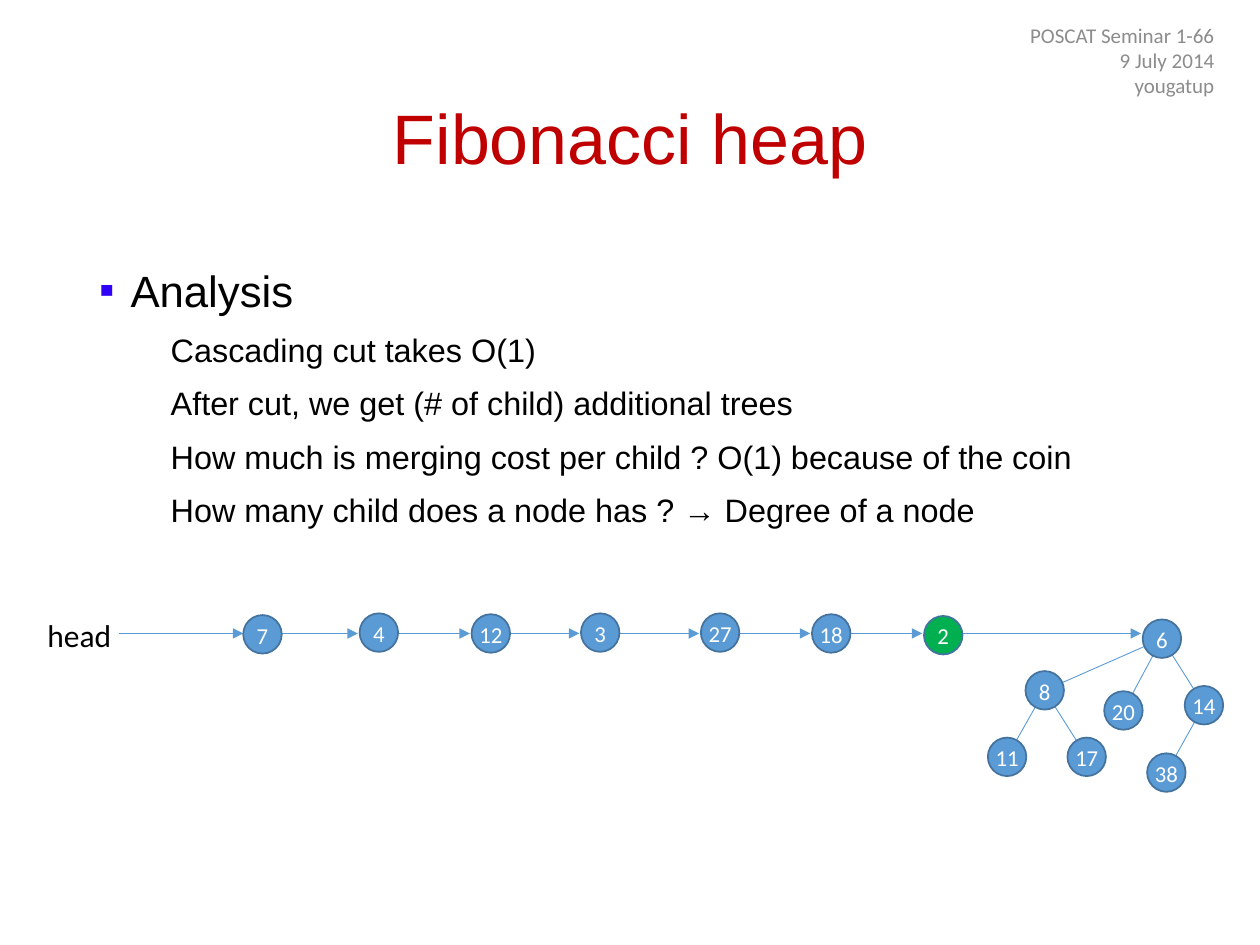
from itertools import pairwise

from lxml.etree import SubElement
from pptx import Presentation
from pptx.dml.color import RGBColor
from pptx.enum.shapes import MSO_CONNECTOR, MSO_SHAPE
from pptx.enum.text import MSO_ANCHOR, PP_ALIGN
from pptx.oxml.ns import qn
from pptx.util import Pt

COLORS = {
    "title": "C00000", "text": "000000", "header": "8C8C8C", "bullet": "3102F8",
    "node": "5B9BD5", "outline": "43739E", "marked": "00B050", "label": "FFFFFF",
}
DIAMETER = 22
LIST_Y = 362
HEAD_RIGHT = 68
NODES = {
    "7": (150, 362.5), "4": (216.5, 361.5), "12": (280.5, 362), "3": (343, 361.5),
    "27": (411.5, 361.5), "18": (475, 362), "2": (539, 363), "6": (664, 365),
    "8": (597, 394.5), "11": (575.5, 432.5), "17": (621, 432.5),
    "20": (642, 406), "14": (688, 403), "38": (666.5, 441.5),
}
ROOTS = ["7", "4", "12", "3", "27", "18", "2", "6"]
CHILDREN = {"6": ["8", "20", "14"], "8": ["11", "17"], "14": ["38"]}
HEADER = ["POSCAT Seminar 1-66", "9 July 2014", "yougatup"]
POINTS = [
    "Cascading cut takes O(1)",
    "After cut, we get (# of child) additional trees",
    "How much is merging cost per child ? O(1) because of the coin",
    "How many child does a node has ? → Degree of a node",
]


def color(name):
    """Return the named colour."""
    return RGBColor.from_string(COLORS[name])


def add_text_frame(slide, left, top, width, height, anchor=MSO_ANCHOR.TOP, wrap=True):
    """Add a text box and return its text frame."""
    frame = slide.shapes.add_textbox(Pt(left), Pt(top), Pt(width), Pt(height)).text_frame
    frame.word_wrap = wrap
    frame.vertical_anchor = anchor
    return frame


def add_paragraph(frame, text, size, font_name, color_name, align=PP_ALIGN.LEFT):
    """Fill the empty first paragraph of a frame, or append a new one."""
    paragraph = frame.paragraphs[0]
    if paragraph.runs:
        paragraph = frame.add_paragraph()
    paragraph.alignment = align
    run = paragraph.add_run()
    run.text = text
    run.font.size = Pt(size)
    run.font.name = font_name
    run.font.color.rgb = color(color_name)
    return paragraph


def add_bullet(paragraph, indent):
    """Give a paragraph a coloured square bullet with a hanging indent."""
    properties = paragraph._p.get_or_add_pPr()
    properties.set("marL", str(Pt(indent)))
    properties.set("indent", str(-Pt(indent)))
    bullet_color = SubElement(properties, qn("a:buClr"))
    SubElement(bullet_color, qn("a:srgbClr"), val=COLORS["bullet"])
    SubElement(properties, qn("a:buFont"), typeface="Arial")
    SubElement(properties, qn("a:buChar"), char="▪")


def add_analysis(slide):
    """Add the bulleted heading and its indented points."""
    frame = add_text_frame(slide, 49.5, 144, 651.5, 342.5)
    heading = add_paragraph(frame, "Analysis", 25, "Arial", "text")
    heading.line_spacing = 1.1
    add_bullet(heading, 18)
    for text in POINTS:
        paragraph = add_paragraph(frame, text, 18.5, "Arial", "text")
        paragraph.line_spacing = 1.1
        paragraph.space_before = Pt(6)
        paragraph._p.get_or_add_pPr().set("marL", str(Pt(41)))


def add_line(slide, start, end, arrow=False):
    """Draw a thin line between two points, with an optional arrowhead."""
    connector = slide.shapes.add_connector(
        MSO_CONNECTOR.STRAIGHT, *(Pt(value) for value in (*start, *end)))
    connector.line.color.rgb = color("node")
    connector.line.width = Pt(0.5)
    if arrow:
        SubElement(connector.line._get_or_add_ln(), qn("a:tailEnd"), type="triangle")
    SubElement(connector._element.spPr, qn("a:effectLst"))


def add_node(slide, label, x, y, fill):
    """Draw a labelled heap node centred on a point."""
    radius = DIAMETER / 2
    shape = slide.shapes.add_shape(
        MSO_SHAPE.OVAL, Pt(x - radius), Pt(y - radius), Pt(DIAMETER), Pt(DIAMETER))
    shape.shadow.inherit = False
    shape.fill.solid()
    shape.fill.fore_color.rgb = color(fill)
    shape.line.color.rgb = color("outline")
    shape.line.width = Pt(1)
    frame = add_text_frame(slide, x - 14, y - 11, 28, 23, wrap=False)
    add_paragraph(frame, label, 13, "Calibri", "label", PP_ALIGN.CENTER)


def add_heap(slide):
    """Draw the root list, the tree edges and the nodes."""
    head = add_text_frame(slide, 20, 348.5, 52, 29, wrap=False)
    add_paragraph(head, "head", 18, "Calibri", "text")
    add_line(slide, (HEAD_RIGHT, LIST_Y), (NODES[ROOTS[0]][0] - 11, LIST_Y), arrow=True)
    for source, target in pairwise(ROOTS):
        add_line(slide, (NODES[source][0] + 11, LIST_Y),
                 (NODES[target][0] - 12, LIST_Y), arrow=True)
    for parent, children in CHILDREN.items():
        for child in children:
            add_line(slide, NODES[parent], NODES[child])
    for label, (x, y) in NODES.items():
        add_node(slide, label, x, y, "marked" if label == "2" else "node")


def main():
    """Build and save the slide."""
    presentation = Presentation()
    presentation.slide_width = Pt(720)
    presentation.slide_height = Pt(540)
    slide = presentation.slides.add_slide(presentation.slide_layouts[6])
    title = add_text_frame(slide, 49.5, 29, 621, 104.5, MSO_ANCHOR.MIDDLE)
    add_paragraph(title, "Fibonacci heap", 40, "Arial", "title", PP_ALIGN.CENTER).line_spacing = 0.9
    add_analysis(slide)
    header = add_text_frame(slide, 539, 14.5, 162, 39.5, MSO_ANCHOR.MIDDLE)
    for text in HEADER:
        add_paragraph(header, text, 12, "Calibri", "header", PP_ALIGN.RIGHT)
    add_heap(slide)
    presentation.save("out.pptx")


if __name__ == "__main__":
    main()
